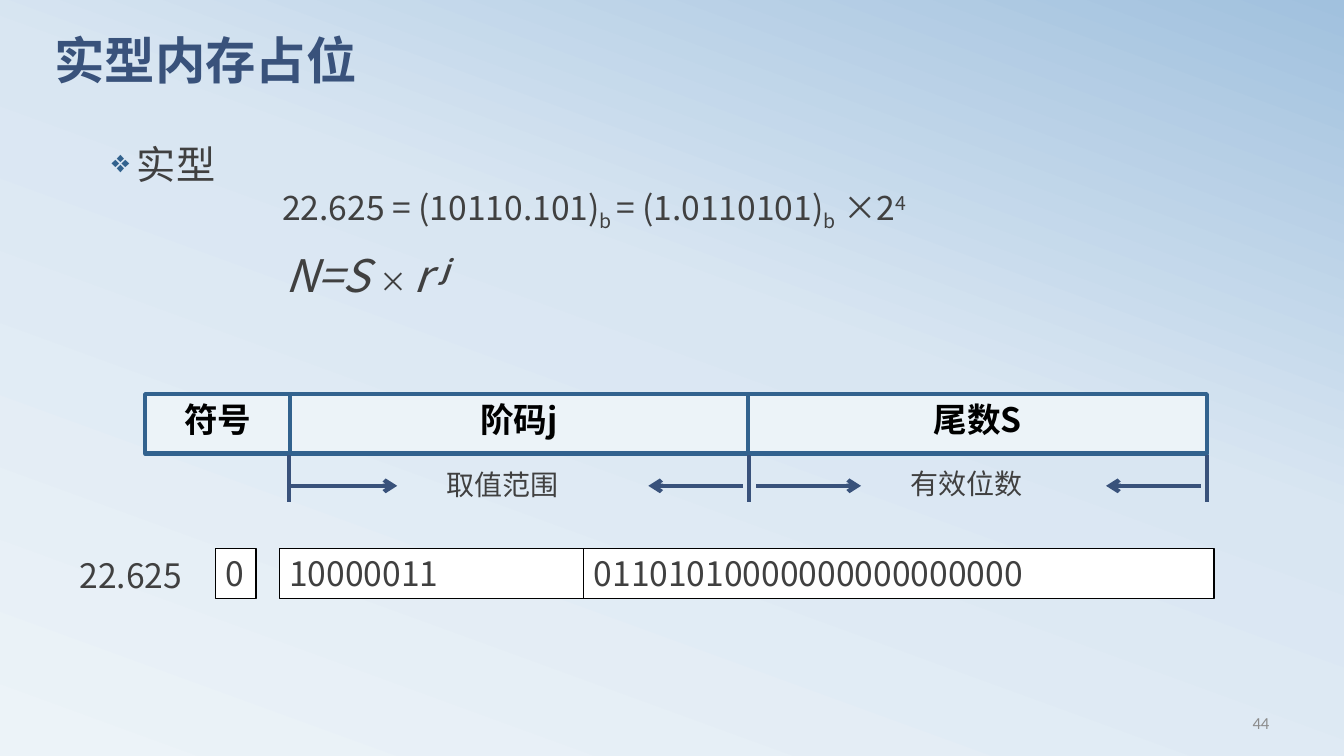
import copy
from dataclasses import dataclass

import lxml.etree
import pptx
import pptx.dml.color
import pptx.enum.shapes
import pptx.enum.text
import pptx.oxml.ns
import pptx.util

PX = 9144
CJK = "Noto Sans CJK SC"
GREY, NAVY, BLUE, PALE = "404040", "39527B", "32628E", "ECF3F8"
ALIGN = pptx.enum.text.PP_ALIGN
ANCHOR = pptx.enum.text.MSO_ANCHOR
qn = pptx.oxml.ns.qn


@dataclass
class Run:
    text: str
    size: int = 24
    color: str = GREY
    font: str = CJK
    bold: bool = False
    italic: bool = False
    baseline: int = 0


@dataclass
class Box:
    left: int
    top: int
    width: int
    height: int
    runs: list[Run]
    align: ALIGN = ALIGN.LEFT
    anchor: ANCHOR = ANCHOR.MIDDLE
    wrap: bool = True
    grow: bool = True
    spacing: float = 1.0
    bullet: str = ""
    fill: str = ""
    line: str = ""
    weight: int = 0


@dataclass
class Line:
    x1: int
    y1: int
    x2: int
    y2: int
    arrow: bool = False


def px(n: int) -> pptx.util.Emu:
    return pptx.util.Emu(n * PX)


def rgb(value: str) -> pptx.dml.color.RGBColor:
    return pptx.dml.color.RGBColor.from_string(value)


def paint_background(s, stops: list[tuple[float, str]], angle: int) -> None:
    fill = s.background.fill
    fill.gradient()
    fill.gradient_angle = angle
    gs_list = next(s._element.iter(qn("a:gsLst")))
    gs_list.append(copy.deepcopy(gs_list[0]))
    for stop, (position, color) in zip(fill.gradient_stops, stops):
        stop.position = position
        stop.color.rgb = rgb(color)


def add_bullet(p, char: str) -> None:
    pPr = p._p.get_or_add_pPr()
    pPr.set("marL", str(px(25)))
    pPr.set("indent", str(px(-25)))
    color = lxml.etree.SubElement(pPr, qn("a:buClr"))
    lxml.etree.SubElement(color, qn("a:srgbClr"), val=BLUE)
    lxml.etree.SubElement(pPr, qn("a:buSzPct"), val="80000")
    lxml.etree.SubElement(pPr, qn("a:buChar"), char=char)


def add_run(p, run: Run) -> None:
    r = p.add_run()
    r.text = run.text
    r.font.size = pptx.util.Pt(run.size)
    r.font.name = run.font
    r.font.bold = run.bold
    r.font.italic = run.italic
    r.font.color.rgb = rgb(run.color)
    rPr = r._r.get_or_add_rPr()
    lxml.etree.SubElement(rPr, qn("a:ea"), typeface=CJK)
    if run.baseline:
        rPr.set("baseline", str(run.baseline * 1000))


def draw_box(s, box: Box) -> None:
    frame = px(box.left), px(box.top), px(box.width), px(box.height)
    if box.fill:
        sp = s.shapes.add_shape(pptx.enum.shapes.MSO_SHAPE.RECTANGLE, *frame)
        sp.shadow.inherit = False
        sp.fill.solid()
        sp.fill.fore_color.rgb = rgb(box.fill)
        sp.line.color.rgb = rgb(box.line)
        sp.line.width = pptx.util.Pt(box.weight)
    else:
        sp = s.shapes.add_textbox(*frame)
    tf = sp.text_frame
    tf.word_wrap = box.wrap
    tf.vertical_anchor = box.anchor
    sizes = pptx.enum.text.MSO_AUTO_SIZE
    tf.auto_size = sizes.SHAPE_TO_FIT_TEXT if box.grow else sizes.NONE
    p = tf.paragraphs[0]
    p.alignment = box.align
    p.line_spacing = box.spacing
    if box.bullet:
        add_bullet(p, box.bullet)
    for run in box.runs:
        add_run(p, run)


def draw_line(s, line: Line) -> None:
    c = s.shapes.add_connector(
        pptx.enum.shapes.MSO_CONNECTOR.STRAIGHT,
        px(line.x1), px(line.y1), px(line.x2), px(line.y2),
    )
    c.line.color.rgb = rgb(NAVY)
    c.line.width = pptx.util.Pt(3)
    if line.arrow:
        lxml.etree.SubElement(c.line._get_or_add_ln(), qn("a:tailEnd"), type="arrow")
    lxml.etree.SubElement(c._element.spPr, qn("a:effectLst"))


def field(left: int, width: int, name: str) -> Box:
    return Box(left, 391, width, 59, [Run(name, color="000000", bold=True)],
               align=ALIGN.CENTER, anchor=ANCHOR.TOP, grow=False,
               fill=PALE, line=BLUE, weight=3)


def bits(left: int, width: int, digits: str, wrap: bool = True) -> Box:
    return Box(left, 544, width, 50, [Run(digits)], wrap=wrap,
               fill="FFFFFF", line="000000", weight=1)


def caption(left: int, top: int, text: str) -> Box:
    return Box(left, top, 132, 44, [Run(text, 20)], wrap=False)


BOXES = [
    Box(958, 697, 311, 40, [Run("44", 12, "8C8C8C", "Calibri")],
        align=ALIGN.RIGHT, grow=False),
    Box(44, 36, 1200, 94, [Run("实型内存占位", 36, NAVY, "Calibri", bold=True)],
        anchor=ANCHOR.TOP, grow=False, spacing=0.8),
    Box(101, 140, 1125, 488, [Run("实型", 28)],
        anchor=ANCHOR.TOP, grow=False, spacing=0.9, bullet="❖"),
    field(287, 455, "阶码j"),
    field(742, 455, "尾数S"),
    field(144, 144, "符号"),
    Box(270, 183, 688, 50, [
        Run("22.625 = (10110.101)"), Run("b ", baseline=-25),
        Run("= (1.0110101)"), Run("b", baseline=-25),
        Run(" ×2"), Run("4", baseline=30),
    ], wrap=False),
    Box(273, 241, 276, 63, [
        Run("N=S ", 32, italic=True), Run("× ", 20), Run("r ", 32, italic=True),
        Run("j", 32, bold=True, italic=True, baseline=30),
    ], anchor=ANCHOR.TOP),
    caption(433, 458, "取值范围"),
    caption(893, 457, "有效位数"),
    bits(214, 40, "0", wrap=False),
    bits(277, 302, "10000011"),
    bits(579, 625, "01101010000000000000000"),
    Box(69, 546, 127, 50, [Run("22.625")], wrap=False),
]
BOUNDARIES = [287, 743, 1197]
ARROWS = [(289, 394), (737, 643), (750, 854), (1191, 1097)]
LINES = [Line(x, 451, x, 498) for x in BOUNDARIES]
LINES += [Line(start, 482, end, 482, arrow=True) for start, end in ARROWS]


def main() -> None:
    prs = pptx.Presentation()
    prs.slide_width = pptx.util.Inches(13.33)
    prs.slide_height = pptx.util.Inches(7.5)
    s = prs.slides.add_slide(prs.slide_layouts[6])
    paint_background(s, [(0, PALE), (0.58, "D9E6F2"), (1, "A1C1DE")], 70)
    for box in BOXES:
        draw_box(s, box)
    for line in LINES:
        draw_line(s, line)
    prs.save("out.pptx")


if __name__ == "__main__":
    main()
